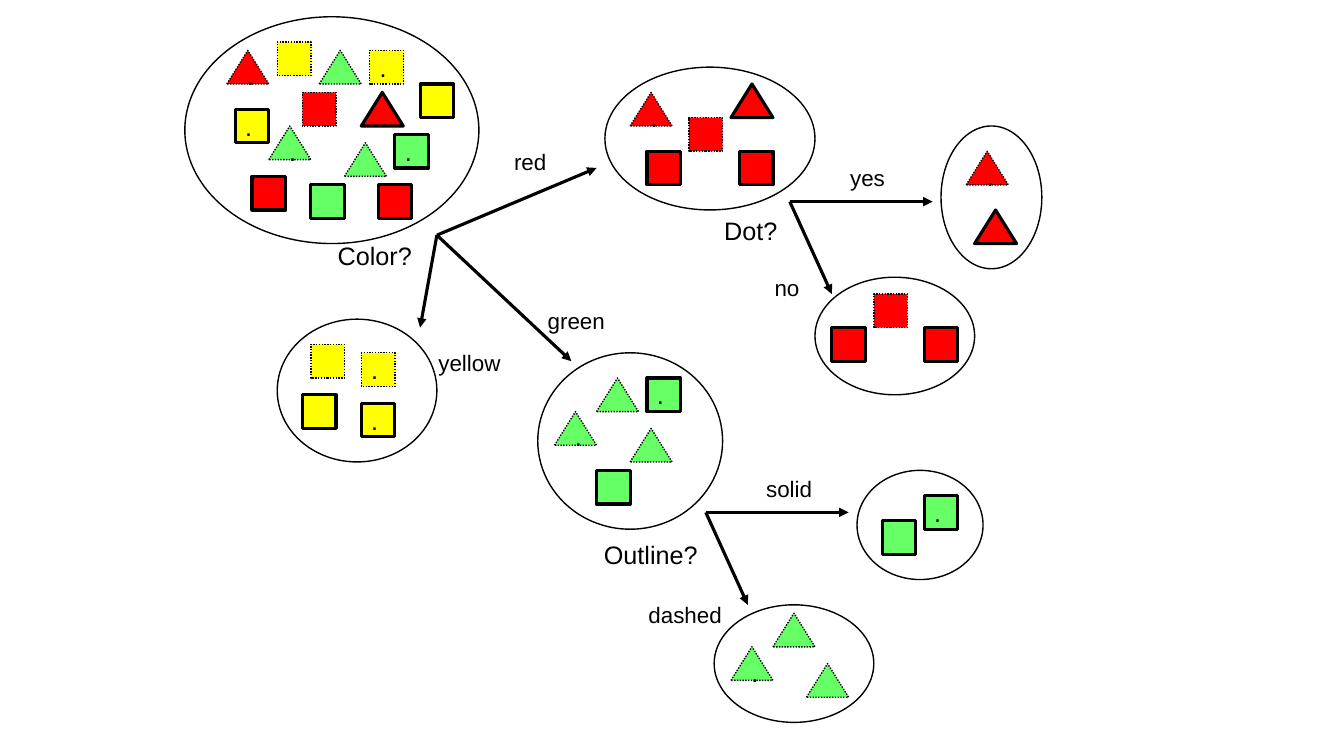
import pptx
import pptx.util
import pptx.dml.color
import pptx.enum.dml
import pptx.enum.shapes
import pptx.enum.text
import pptx.oxml

SHAPE = pptx.enum.shapes.MSO_SHAPE
FIT = pptx.enum.text.MSO_AUTO_SIZE
ANCHOR = pptx.enum.text.MSO_ANCHOR
BLACK = "000000"

# Item codes: form, colour, outline and an optional dot, such as "TRs."
FORMS = {"T": (SHAPE.ISOSCELES_TRIANGLE, 5), "S": (SHAPE.RECTANGLE, 4)}
HUES = {"R": "FF0000", "Y": "FFFF00", "G": "66FF66"}

# Each set: oval box, then items placed from its top left corner
SETS = [
    ((22, 2, 35, 27), [
        ("TRs.", 21, 9), ("SYd", 11, 3), ("TRd.", 5, 4), ("TGd", 19, 15),
        ("TGd", 16, 4), ("TGd.", 10, 13), ("SRd", 14, 9), ("SYs", 28, 8),
        ("SYs.", 6, 11), ("SRs", 8, 19), ("SYd.", 22, 4), ("SGs", 15, 20),
        ("SGs.", 25, 14), ("SRs", 23, 20)]),
    ((72, 8, 25, 17), [
        ("TRs.", 15, 2), ("TRd.", 3, 3), ("SRd", 10, 6), ("SRs", 5, 10),
        ("SRs", 16, 10)]),
    ((64, 42, 22, 21), [
        ("TGd", 11, 9), ("TGd", 7, 3), ("TGd.", 2, 7), ("SGs", 7, 14),
        ("SGs.", 13, 3)]),
    ((33, 38, 19, 17), [
        ("SYd", 4, 3), ("SYs", 3, 9), ("SYs.", 10, 10), ("SYd.", 10, 4)]),
    ((102, 56, 15, 13), [("SGs", 3, 6), ("SGs.", 8, 3)]),
    ((85, 72, 19, 14), [("TGd", 11, 7), ("TGd", 7, 1), ("TGd.", 2, 5)]),
    ((112, 15, 12, 17), [("TRs.", 4, 10), ("TRd.", 3, 3)]),
    ((97, 33, 19, 14), [("SRd", 7, 2), ("SRs", 2, 6), ("SRs", 13, 6)]),
]

# Each split: fork point, question (text, x, y, width in inches), then
# branches (arrow end, label); places count from the fork point
SPLITS = [
    ((52, 28), ("Color?", -13, 0, 0.95), [
        ((-2, 11), ("yellow", -1, 13, 0.83)),
        ((16, 15), ("green", 12, 8, 0.79)),
        ((19, -8), ("red", 8, -11, 0.53))]),
    ((84, 61), ("Outline?", -13.3, 2.6, 1.14), [
        ((5, 11), ("dashed", -8, 10, 0.93)),
        ((17, 0), ("solid", 6, -5, 0.68))]),
    ((94, 24), ("Dot?", -9, 1, 0.73), [
        ((5, 11), ("no", -3, 8, 0.45)),
        ((17, 0), ("yes", 6, -5, 0.55))]),
]


def grid(*steps):
    """Turn grid steps of a twelfth of an inch into lengths."""
    return [pptx.util.Inches(step / 12) for step in steps]


def tint(code):
    return pptx.dml.color.RGBColor.from_string(code)


def write(shape, text, size=18, fit=FIT.NONE, anchor=ANCHOR.TOP):
    frame = shape.text_frame
    frame.word_wrap = False
    frame.auto_size = fit
    frame.vertical_anchor = anchor
    para = frame.paragraphs[0]
    para.alignment = pptx.enum.text.PP_ALIGN.LEFT
    run = para.add_run()
    run.text = text
    run.font.name = "Arial"
    run.font.size = pptx.util.Pt(size)
    run.font.color.rgb = tint(BLACK)


def edge(line, width):
    line.color.rgb = tint(BLACK)
    line.width = pptx.util.Pt(width)


def draw_item(group, code, x, y):
    form, width = FORMS[code[0]]
    item = group.shapes.add_shape(form, *grid(x, y, width, 4))
    item.shadow.inherit = False
    item.fill.solid()
    item.fill.fore_color.rgb = tint(HUES[code[1]])
    if code[2] == "s":
        edge(item.line, 2.25)
    else:
        edge(item.line, 1)
        item.line.dash_style = pptx.enum.dml.MSO_LINE.ROUND_DOT
    if code.endswith("."):
        write(item, ".", anchor=ANCHOR.MIDDLE)


def draw_set(slide, box, items):
    group = slide.shapes.add_group_shape()
    left, top = box[:2]
    for code, x, y in items:
        draw_item(group, code, left + x, top + y)
    oval = group.shapes.add_shape(SHAPE.OVAL, *grid(*box))
    oval.shadow.inherit = False
    oval.fill.background()
    edge(oval.line, 1)


def draw_arrow(slide, start, end):
    arrow = slide.shapes.add_connector(
        pptx.enum.shapes.MSO_CONNECTOR.STRAIGHT, *grid(*start, *end))
    edge(arrow.line, 2.25)
    tail = pptx.oxml.parse_xml(
        '<a:tailEnd xmlns:a="http://schemas.openxmlformats.org/drawingml/'
        '2006/main" type="triangle"/>')
    arrow.line._get_or_add_ln().append(tail)
    props = arrow._element.spPr
    props.append(props.makeelement(pptx.oxml.ns.qn("a:effectLst"), {}))


def draw_label(slide, fork, label, size):
    text, x, y, width = label
    left, top = grid(fork[0] + x, fork[1] + y)
    high = 0.4 if size == 18 else 0.37
    box = slide.shapes.add_textbox(
        left, top, pptx.util.Inches(width), pptx.util.Inches(high))
    write(box, text, size=size, fit=FIT.SHAPE_TO_FIT_TEXT)


def draw_split(slide, fork, query, branches):
    draw_label(slide, fork, query, 18)
    for (x, y), label in branches:
        draw_arrow(slide, fork, (fork[0] + x, fork[1] + y))
        draw_label(slide, fork, label, 16)


def main():
    deck = pptx.Presentation()
    deck.slide_width = pptx.util.Inches(13.33)
    deck.slide_height = pptx.util.Inches(7.5)
    slide = deck.slides.add_slide(deck.slide_layouts[6])
    # Ovals with their items
    for box, items in SETS:
        draw_set(slide, box, items)
    # Questions with their branches
    for fork, query, branches in SPLITS:
        draw_split(slide, fork, query, branches)
    deck.save("out.pptx")


if __name__ == "__main__":
    main()
